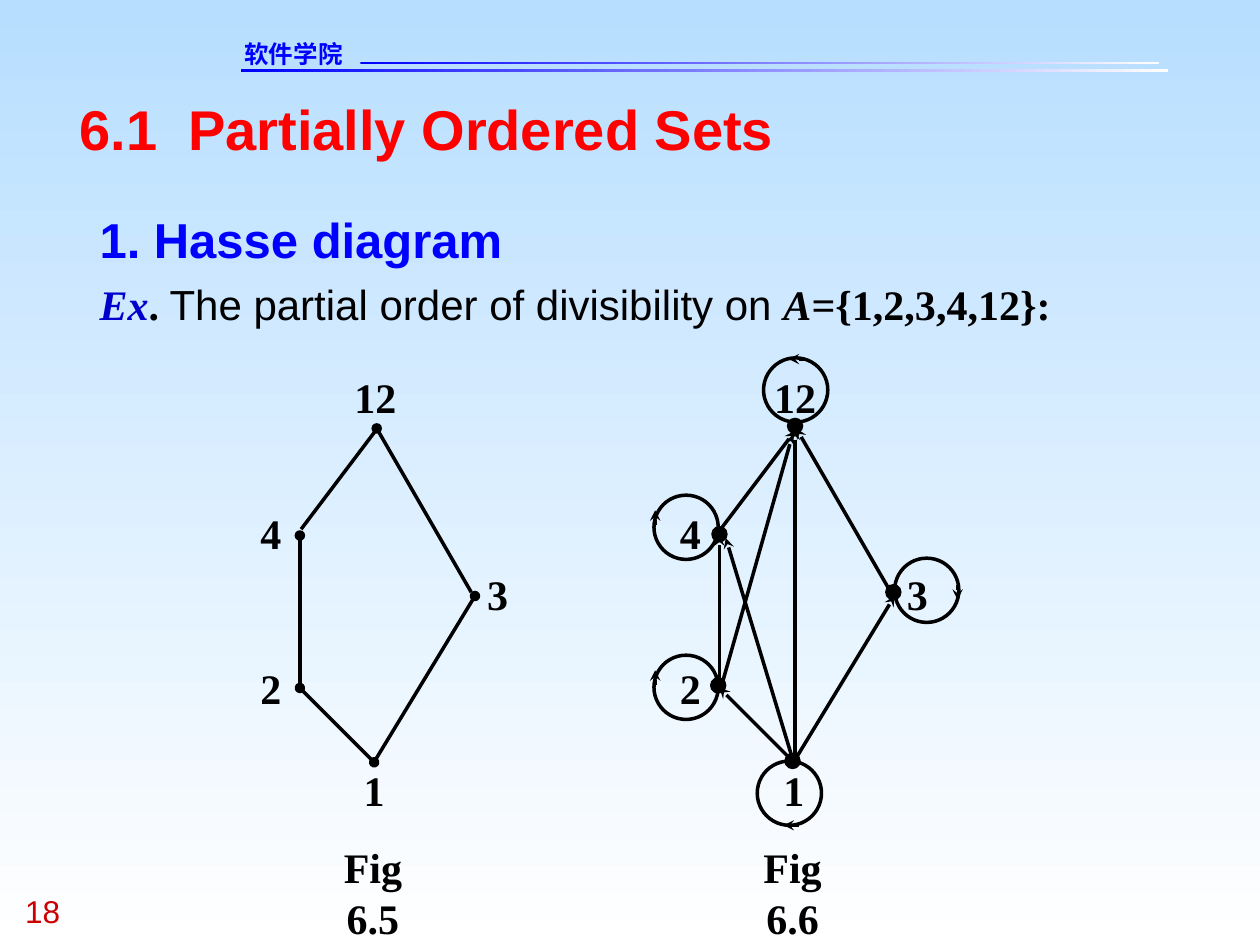
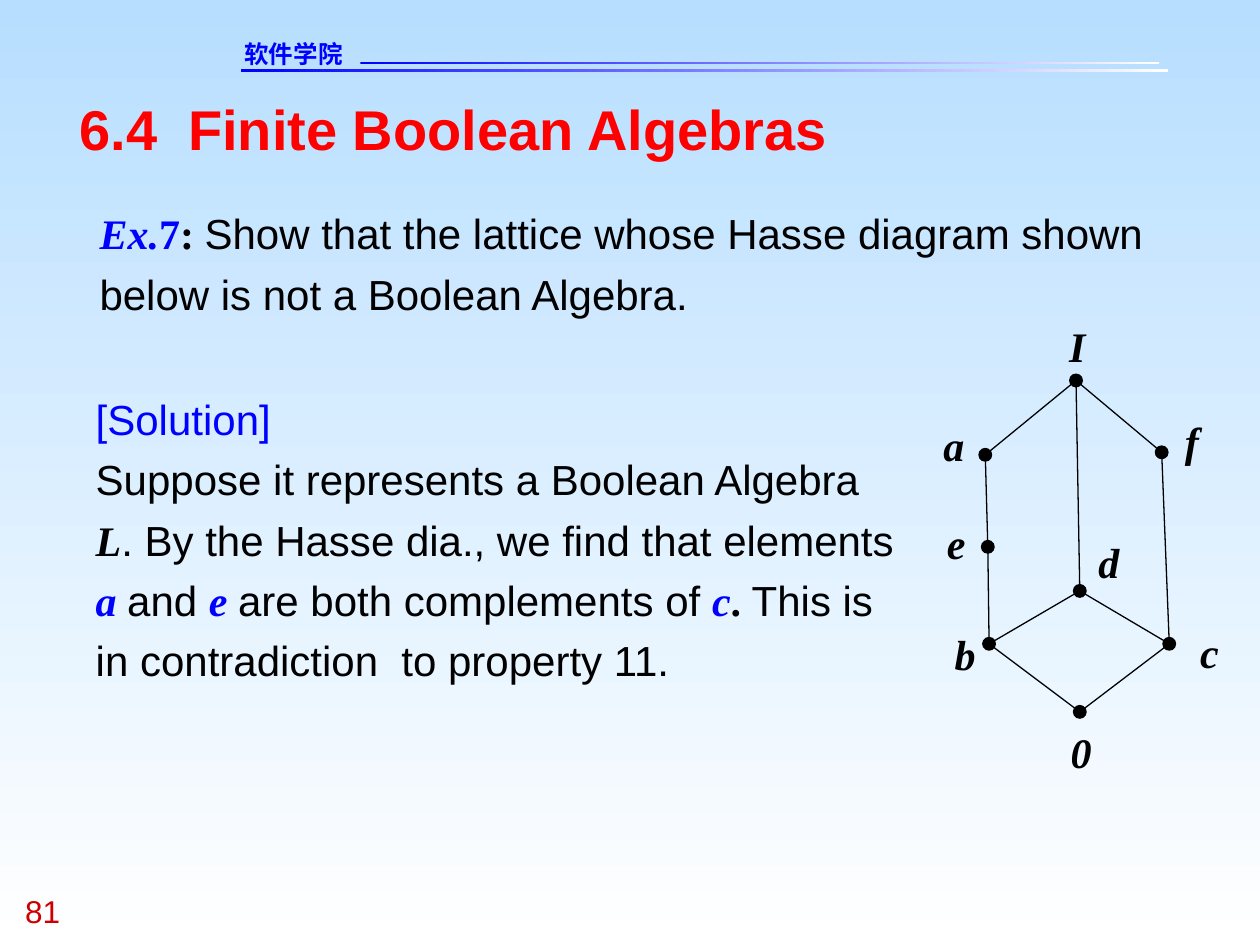
import pptx
import pptx.dml.color
import pptx.enum.shapes
import pptx.enum.text
import pptx.oxml
import pptx.oxml.ns
import pptx.util

Inches = pptx.util.Inches
Pt = pptx.util.Pt
RGBColor = pptx.dml.color.RGBColor
SHAPES = pptx.enum.shapes.MSO_SHAPE
ALIGN = pptx.enum.text.PP_ALIGN

COLORS = {
    "sky": "B7DEFF", "white": "FFFFFF", "blue": "0000FF", "navy": "0000CC",
    "title": "FF0000", "number": "CC0000", "black": "000000",
}
SERIF, SANS = "Times New Roman", "Arial"
STYLES = {
    "title": dict(name=SANS, size=Pt(32), bold=True, color="title"),
    "school": dict(name="DejaVu Sans", size=Pt(14), bold=True, color="blue"),
    "number": dict(name=SANS, size=Pt(18), bold=False, color="number"),
    "heading": dict(name=SANS, size=Pt(28), bold=True, color="blue"),
    "plain": dict(name=SANS, size=Pt(24), bold=False, color="black"),
    "solution": dict(name=SANS, size=Pt(24), bold=False, color="blue"),
    "math": dict(name=SERIF, size=Pt(24), bold=True, color="black"),
    "symbol": dict(name=SERIF, size=Pt(24), bold=True, italic=True, color="black"),
    "blue math": dict(name=SERIF, size=Pt(24), bold=True, color="blue"),
    "blue symbol": dict(name=SERIF, size=Pt(24), bold=True, italic=True, color="blue"),
    "navy symbol": dict(name=SERIF, size=Pt(24), bold=True, italic=True, color="navy"),
}


def write(shape, paragraphs, align=ALIGN.LEFT, spacing=1.0, wrap=True):
    """Fill a shape with paragraphs, each a list of (text, style name) runs."""
    frame = shape.text_frame
    frame_format = dict(
        margin_left=0, margin_right=0, margin_top=0, margin_bottom=0, word_wrap=wrap,
        vertical_anchor=pptx.enum.text.MSO_ANCHOR.TOP,
        auto_size=pptx.enum.text.MSO_AUTO_SIZE.NONE)
    for attribute, value in frame_format.items():
        setattr(frame, attribute, value)
    for index, runs in enumerate(paragraphs):
        paragraph = frame.add_paragraph() if index else frame.paragraphs[0]
        paragraph.alignment = align
        paragraph.line_spacing = spacing
        paragraph.space_before = Pt(0)
        for text, style in runs:
            run = paragraph.add_run()
            run.text = text
            for attribute, value in STYLES[style].items():
                if attribute == "color":
                    run.font.color.rgb = RGBColor.from_string(COLORS[value])
                else:
                    setattr(run.font, attribute, value)


def add_line(shapes, start, end, width, head=None, tail=None):
    """Draw a black line; head is the arrowhead at start, tail the one at end."""
    line = shapes.add_connector(
        pptx.enum.shapes.MSO_CONNECTOR.STRAIGHT, *map(Inches, start + end))
    line.line.color.rgb = RGBColor.from_string(COLORS["black"])
    line.line.width = Pt(width)
    properties = line.line._get_or_add_ln()
    for tag, kind in (("a:headEnd", head), ("a:tailEnd", tail)):
        if kind:
            arrowhead = pptx.oxml.parse_xml(
                f'<{tag} {pptx.oxml.ns.nsdecls("a")} type="{kind}"/>')
            properties.append(arrowhead)
    line._element.spPr.append(
        pptx.oxml.parse_xml(f'<a:effectLst {pptx.oxml.ns.nsdecls("a")}/>'))


presentation = pptx.Presentation()
presentation.slide_width = Inches(10)
presentation.slide_height = Inches(7.5)

# Shared frame: background, header rules, title, page number and body text
contents = [
    ("6.1  Partially Ordered Sets", "18", 1.04, [
        [("1. Hasse diagram", "heading")],
        [("Ex", "navy symbol"), (". ", "math"),
         ("The partial order of divisibility on ", "plain"),
         ("A", "symbol"), ("={1,2,3,4,12}:", "math")],
    ]),
    ("6.4  Finite Boolean Algebras", "81", 0.96, [
        [("Ex.", "blue symbol"), ("7", "blue math"), (": ", "math"),
         ("Show that the lattice whose Hasse diagram shown below is not a "
          "Boolean Algebra.", "plain")],
    ]),
]
header_rules = [(1.91, 0.55, 7.36, 0.02), (2.86, 0.49, 6.34, 0.02)]

for title, number, body_height, body_text in contents:
    slide = presentation.slides.add_slide(presentation.slide_layouts[1])
    gradients = [(slide.background.fill, 270, "sky", "white")]
    for box in header_rules:
        rule = slide.shapes.add_shape(SHAPES.RECTANGLE, *map(Inches, box))
        rule.shadow.inherit = False
        rule.line.fill.background()
        gradients.append((rule.fill, 0, "blue", "white"))
    for fill, angle, *stop_colors in gradients:
        fill.gradient()
        fill.gradient_angle = angle
        for stop, color in zip(fill.gradient_stops, stop_colors):
            stop.color.rgb = RGBColor.from_string(COLORS[color])

    for text, style, box in [
        ("软件学院", "school", (1.94, 0.31, 1.45, 0.23)),
        (number, "number", (0.2, 7.08, 0.75, 0.3)),
    ]:
        write(slide.shapes.add_textbox(*map(Inches, box)), [[(text, style)]])

    body = slide.placeholders[1]
    for placeholder, box in [
        (slide.shapes.title, (0.63, 0.75, 8.75, 0.53)),
        (body, (0.79, 1.57, 8.76, body_height)),
    ]:
        for side, length in zip(("left", "top", "width", "height"), box):
            setattr(placeholder, side, Inches(length))
    write(slide.shapes.title, [[(title, "title")]])
    write(body, body_text, spacing=1.2)
    for paragraph in body.text_frame.paragraphs:
        properties = paragraph._p.get_or_add_pPr()
        properties.set("marL", "0")
        properties.set("indent", "0")
        properties.append(
            pptx.oxml.parse_xml(f'<a:buNone {pptx.oxml.ns.nsdecls("a")}/>'))

order_slide, boolean_slide = presentation.slides

# Hasse diagram (Fig 6.5) and its directed graph (Fig 6.6)
divisor_labels = [
    ("12", 2.98, 3.15), ("4", 2.15, 4.23), ("2", 2.15, 5.46),
    ("3", 3.95, 4.71), ("1", 2.97, 6.27),
]
divisor_edges = [
    ((2.38, 4.25), (2.38, 5.43), None),
    ((2.98, 3.42), (2.39, 4.2), None),
    ((2.38, 5.46), (2.97, 6.05), "oval"),
    ((3.77, 4.73), (2.98, 6.03), None),
    ((2.99, 3.4), (3.74, 4.7), None),
]
graph_offset = 3.33
hasse = order_slide.shapes.add_group_shape().shapes
digraph = order_slide.shapes.add_group_shape().shapes
for shapes, offset, caption in [(hasse, 0, "Fig 6.5"), (digraph, graph_offset, "Fig 6.6")]:
    for (x1, y1), (x2, y2), tail in divisor_edges:
        if shapes is digraph:
            head, tail = "stealth", None
        else:
            head = None if (x1, y1) == (2.98, 3.42) else "oval"
        add_line(shapes, (x1 + offset, y1), (x2 + offset, y2), 2, head, tail)
    caption_box = order_slide.shapes.add_textbox(
        Inches(2.51 + offset), Inches(6.68), Inches(0.9), Inches(0.8))
    write(caption_box, [[(caption, "math")]], ALIGN.CENTER)

for start, end in [
    ((5.76, 4.27), (6.28, 5.99)),
    ((6.31, 3.41), (6.31, 5.99)),
    ((6.29, 3.45), (5.73, 5.43)),
]:
    add_line(digraph, start, end, 2, "stealth")

# Self-loops: circle corner, then arrow start and end measured from it
loop_size = 0.51
for left, top, start, end in [
    (5.19, 3.93, (0.01, 0.24), (0.01, 0.12)),
    (5.19, 5.2, (0.01, 0.24), (0.01, 0.12)),
    (6.01, 6.04, (0.33, 0.51), (0.21, 0.51)),
    (6.06, 2.84, (0.32, 0.01), (0.2, 0.01)),
    (7.1, 4.43, (0.5, 0.21), (0.5, 0.33)),
]:
    loop = order_slide.shapes.add_group_shape().shapes
    circle = loop.add_shape(
        SHAPES.OVAL, *map(Inches, (left, top, loop_size, loop_size)))
    circle.shadow.inherit = False
    circle.fill.background()
    circle.line.color.rgb = RGBColor.from_string(COLORS["black"])
    circle.line.width = Pt(2)
    add_line(loop, (left + start[0], top + start[1]),
             (left + end[0], top + end[1]), 2, tail="stealth")

# Lattice of the Boolean algebra exercise
lattice_nodes = {
    "I": (8.54, 3.02), "a": (7.82, 3.61), "f": (9.22, 3.59), "e": (7.84, 4.34),
    "d": (8.57, 4.69), "b": (7.85, 5.11), "c": (9.28, 5.11), "0": (8.57, 5.65),
}
lattice_labels = [
    ("I", 8.55, 2.74), ("a", 7.57, 3.53), ("f", 9.46, 3.5), ("e", 7.59, 4.31),
    ("d", 8.8, 4.46), ("b", 7.66, 5.19), ("c", 9.6, 5.17), ("0", 8.58, 5.97),
]
lattice = boolean_slide.shapes.add_group_shape().shapes
for upper, lower in ("Ia", "ae", "eb", "b0", "If", "fc", "c0", "Id", "db", "dc"):
    add_line(lattice, lattice_nodes[upper], lattice_nodes[lower], 0.75)

# Dots and labels, both placed by their centres
digraph_nodes = [(5.71, 4.24), (5.7, 5.44), (6.29, 6.04), (7.09, 4.7), (6.31, 3.38)]
for shapes, centers, size in [
    (digraph, digraph_nodes, 0.12),
    (lattice, lattice_nodes.values(), 0.1),
]:
    for x, y in centers:
        dot = shapes.add_shape(
            SHAPES.OVAL, *map(Inches, (x - size / 2, y - size / 2, size, size)))
        dot.shadow.inherit = False
        dot.fill.solid()
        dot.fill.fore_color.rgb = RGBColor.from_string(COLORS["black"])
        dot.line.color.rgb = RGBColor.from_string(COLORS["black"])
        dot.line.width = Pt(0.75)

label_size = 0.4
for shapes, labels, offset, style in [
    (hasse, divisor_labels, 0, "math"),
    (digraph, divisor_labels, graph_offset, "math"),
    (lattice, lattice_labels, 0, "symbol"),
]:
    for text, x, y in labels:
        box = (x + offset - label_size / 2, y - label_size / 2, label_size, label_size)
        label = shapes.add_textbox(*map(Inches, box))
        write(label, [[(text, style)]], ALIGN.CENTER, wrap=False)

solution = boolean_slide.shapes.add_textbox(*map(Inches, (0.76, 3.04, 6.41, 2.4)))
write(solution, [
    [("[Solution]", "solution")],
    [("Suppose it represents a Boolean Algebra", "plain"), (" L", "symbol"),
     (". By the Hasse dia., we find that elements ", "plain"),
     ("a ", "blue symbol"), ("and ", "plain"), ("e ", "blue symbol"),
     ("are both complements of ", "plain"), ("c", "blue symbol"), (". ", "math"),
     ("This is in contradiction  to property 11.", "plain")],
], spacing=1.2)

presentation.save("out.pptx")
